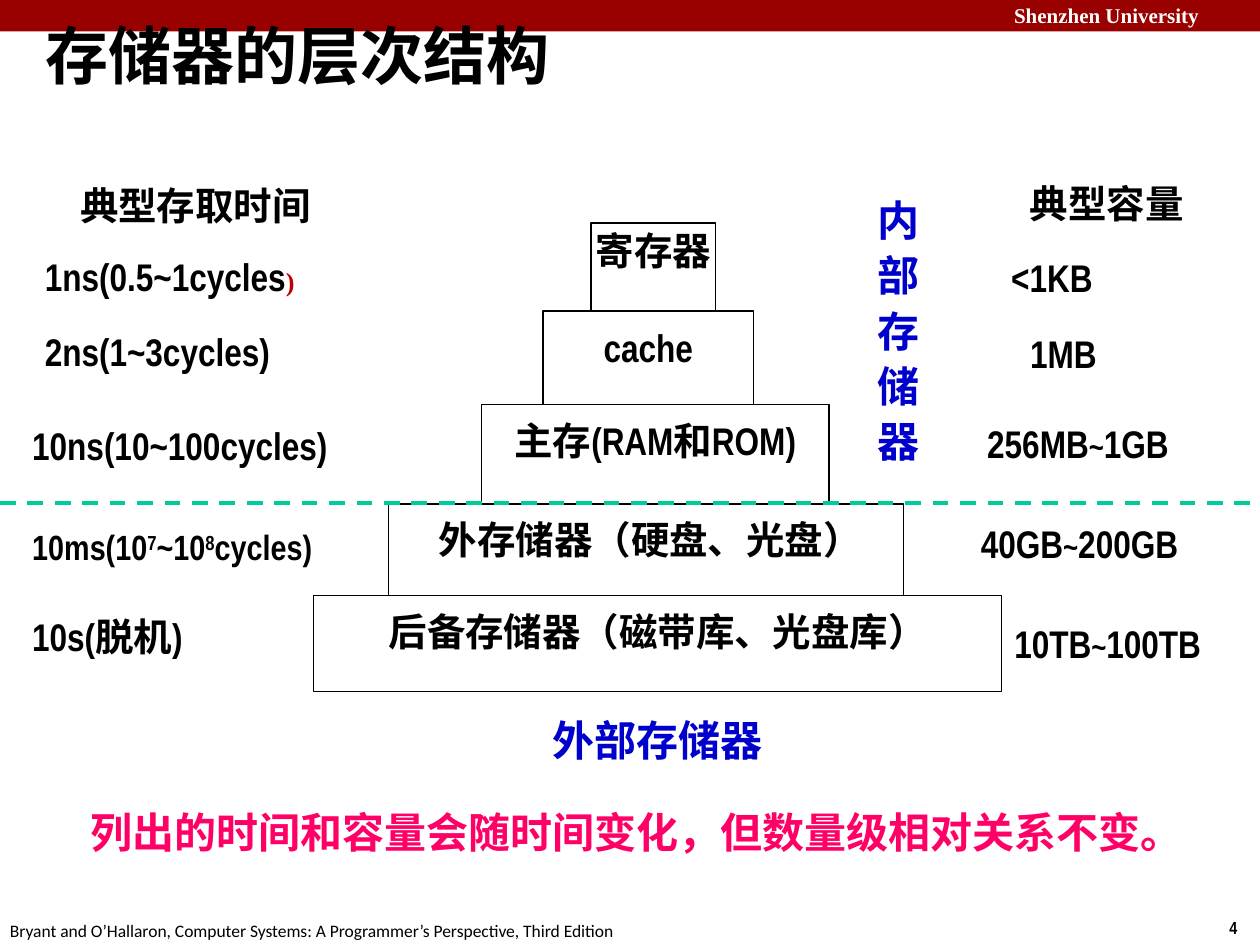
from dataclasses import dataclass

from lxml import etree
from pptx import Presentation
from pptx.dml.color import RGBColor
from pptx.enum.dml import MSO_LINE
from pptx.enum.shapes import MSO_CONNECTOR, MSO_SHAPE
from pptx.enum.text import MSO_ANCHOR, MSO_AUTO_SIZE, PP_ALIGN
from pptx.oxml.ns import qn
from pptx.util import Pt

RECTANGLE = MSO_SHAPE.RECTANGLE
STRAIGHT = MSO_CONNECTOR.STRAIGHT
DASH = MSO_LINE.DASH
LEFT, CENTER, JUSTIFY = PP_ALIGN.LEFT, PP_ALIGN.CENTER, PP_ALIGN.JUSTIFY
TOP, MIDDLE = MSO_ANCHOR.TOP, MSO_ANCHOR.MIDDLE
FIT_SHAPE = MSO_AUTO_SIZE.SHAPE_TO_FIT_TEXT


@dataclass(frozen=True)
class Theme:
    black: str = "000000"
    white: str = "FFFFFF"
    band: str = "990000"
    blue: str = "0000CC"
    pink: str = "FF0066"
    green: str = "00CC99"
    red: str = "C00000"
    narrow: str = "Arial Narrow"
    sans: str = "Calibri"
    serif: str = "Times New Roman"
    title: float = 36
    heading: float = 24
    body: float = 22
    power: float = 20
    tilde: float = 18
    bracket: float = 15
    header: float = 12
    small: float = 10


THEME = Theme()
PADDED = (9, 4.5)
SIDE_ONLY = (9, 0)
NO_INSET = (0, 0)
DEFAULT_INSET = (7.2, 3.6)


def write_text(shape, runs, size=THEME.body, font=THEME.narrow, color=THEME.black,
               bold=True, align=LEFT, anchor=TOP, inset=DEFAULT_INSET,
               spacing=None, wrap=True, grow=False):
    """Runs are plain text or (text, overrides) pairs."""
    frame = shape.text_frame
    frame.word_wrap = wrap
    frame.vertical_anchor = anchor
    frame.margin_left = frame.margin_right = Pt(inset[0])
    frame.margin_top = frame.margin_bottom = Pt(inset[1])
    if grow:
        frame.auto_size = FIT_SHAPE
    paragraph = frame.paragraphs[0]
    paragraph.alignment = align
    if spacing:
        paragraph.line_spacing = spacing
    for item in [runs] if isinstance(runs, str) else runs:
        text, changes = (item, {}) if isinstance(item, str) else item
        run = paragraph.add_run()
        run.text = text
        run.font.name = changes.get("font", font)
        run.font.size = Pt(changes.get("size", size))
        run.font.bold = bold
        run.font.color.rgb = RGBColor.from_string(changes.get("color", color))
        if changes.get("superscript"):
            run.font._element.set("baseline", "30000")


def add_text(slide, box, runs, **text_format):
    shape = slide.shapes.add_textbox(*map(Pt, box))
    write_text(shape, runs, **text_format)


def add_rectangle(slide, box, fill, line=None):
    shape = slide.shapes.add_shape(RECTANGLE, *map(Pt, box))
    shape.shadow.inherit = False
    shape.fill.solid()
    shape.fill.fore_color.rgb = RGBColor.from_string(fill)
    if line:
        shape.line.color.rgb = RGBColor.from_string(line)
        shape.line.width = Pt(0.75)
    else:
        shape.line.fill.background()
    return shape


def add_frame(slide, box):
    """Header band, footer and page number."""
    left, top, width, height = box
    bottom = top + height
    add_rectangle(slide, (left, top, width, 18), THEME.band)
    add_text(slide, (left + 572.4, top - 2.2, 152.6, 21.6), "Shenzhen University",
             size=THEME.header, font=THEME.serif, color=THEME.white, grow=True)
    add_text(slide, (left + 695.5, bottom - 19.4, 24.5, 19.4), "4",
             size=THEME.small, wrap=False, grow=True)
    add_text(slide, (left - 1.4, bottom - 18, 366.5, 19.4),
             "Bryant and O’Hallaron, Computer Systems: A Programmer’s Perspective, Third Edition",
             size=THEME.small, font=THEME.sans, bold=False, wrap=False, grow=True)


def add_pyramid(slide, box):
    """Memory levels, narrowest and fastest at the top."""
    left, top = box[:2]
    levels = [  # text, left, top, width, height, inset
        ("cache", 131, 50.4, 120.2, 54.7, PADDED),
        ("主存(RAM和ROM)", 95.8, 103.7, 198.7, 56.9, PADDED),
        (" 外存储器（硬盘、光盘）", 42.5, 160.6, 294.5, 54.7, PADDED),
        ("后备存储器（磁带库、光盘库）", 0, 213.1, 393.1, 54.7, PADDED),
        ("寄存器", 158.4, 0, 71.3, 50.4, NO_INSET),
    ]
    for text, x, y, width, height, inset in levels:
        level = add_rectangle(slide, (left + x, top + y, width, height),
                              THEME.white, THEME.black)
        write_text(level, text, align=CENTER, inset=inset, spacing=1.1)


def add_divider(slide, box):
    """Dashed line between internal and external memory."""
    left, top, width, height = box
    line = slide.shapes.add_connector(STRAIGHT, Pt(left), Pt(top),
                                      Pt(left + width), Pt(top + height))
    line.line.color.rgb = RGBColor.from_string(THEME.green)
    line.line.width = Pt(2.25)
    line.line.dash_style = DASH
    etree.SubElement(line._element.spPr, qn("a:effectLst"))


def add_column(slide, box, heading, rows):
    """Heading, then one value per level as (x, y, width, runs, overrides)."""
    left, top, width, height = box
    add_text(slide, box, heading, align=CENTER, inset=SIDE_ONLY, spacing=1.1)
    for x, y, row_width, runs, changes in rows:
        text_format = {"align": JUSTIFY, "inset": SIDE_ONLY, "spacing": 1.1, **changes}
        add_text(slide, (left + x, top + y, row_width, height), runs, **text_format)


def size_range(low, high):
    return [low, ("~", {"size": THEME.tilde}), high]


def main():
    presentation = Presentation()
    presentation.slide_width, presentation.slide_height = Pt(720), Pt(540)
    slide = presentation.slides.add_slide(presentation.slide_layouts[6])

    add_frame(slide, (0, 0, 720, 540))
    add_text(slide, (18.7, 8.6, 693.4, 44.6), "存储器的层次结构",
             size=THEME.title, font=THEME.sans, anchor=MIDDLE)

    add_pyramid(slide, (179.3, 127.4, 393.1, 267.8))
    add_divider(slide, (0, 287.3, 715.7, 0))

    # Group labels
    for box, label in (((487.4, 103.7, 51.8, 169.9), "内部存储器"),
                       ((292.3, 401, 166.3, 77), "外部存储器")):
        add_text(slide, box, label, size=THEME.heading, font=THEME.serif,
                 color=THEME.blue, align=CENTER, inset=PADDED, spacing=1.1)

    # Capacities
    add_column(slide, (568.8, 100.1, 127.4, 51.1), "典型容量", [
        (0, 42.5, 120.2, "<1KB", {}),
        (10.8, 85.7, 120.2, "1MB", {}),
        (-13.7, 137.5, 147.6, size_range("256MB", "1GB"), {}),
        (-17.3, 194.4, 168.5, size_range("40GB", "200GB"), {}),
        (10.8, 251.3, 138.2, size_range("10TB", "100TB"), {"inset": NO_INSET}),
    ])

    # Access times
    bracket = {"size": THEME.bracket, "font": THEME.serif, "color": THEME.red}
    raised = {"superscript": True}
    add_column(slide, (22.3, 101.5, 178.6, 51.1), "典型存取时间", [
        (-5.7, 40.3, 205.2, ["1ns(0.5~1cycles", (")", bracket)], {}),
        (-5.7, 83.5, 244.8, "2ns(1~3cycles)", {}),
        (-12.9, 136.8, 230.4, "10ns(10~100cycles)", {}),
        (-12.9, 196.6, 241.2,
         ["10ms(10", ("7", raised), "~10", ("8", raised), "cycles)"],
         {"size": THEME.power}),
        (-12.9, 246.2, 149, "10s(脱机)", {}),
    ])

    # Closing remark
    add_text(slide, (51.8, 460.8, 645.1, 28.8),
             "列出的时间和容量会随时间变化，但数量级相对关系不变。",
             size=THEME.heading, color=THEME.pink, inset=NO_INSET, grow=True)

    presentation.save("out.pptx")


if __name__ == "__main__":
    main()
